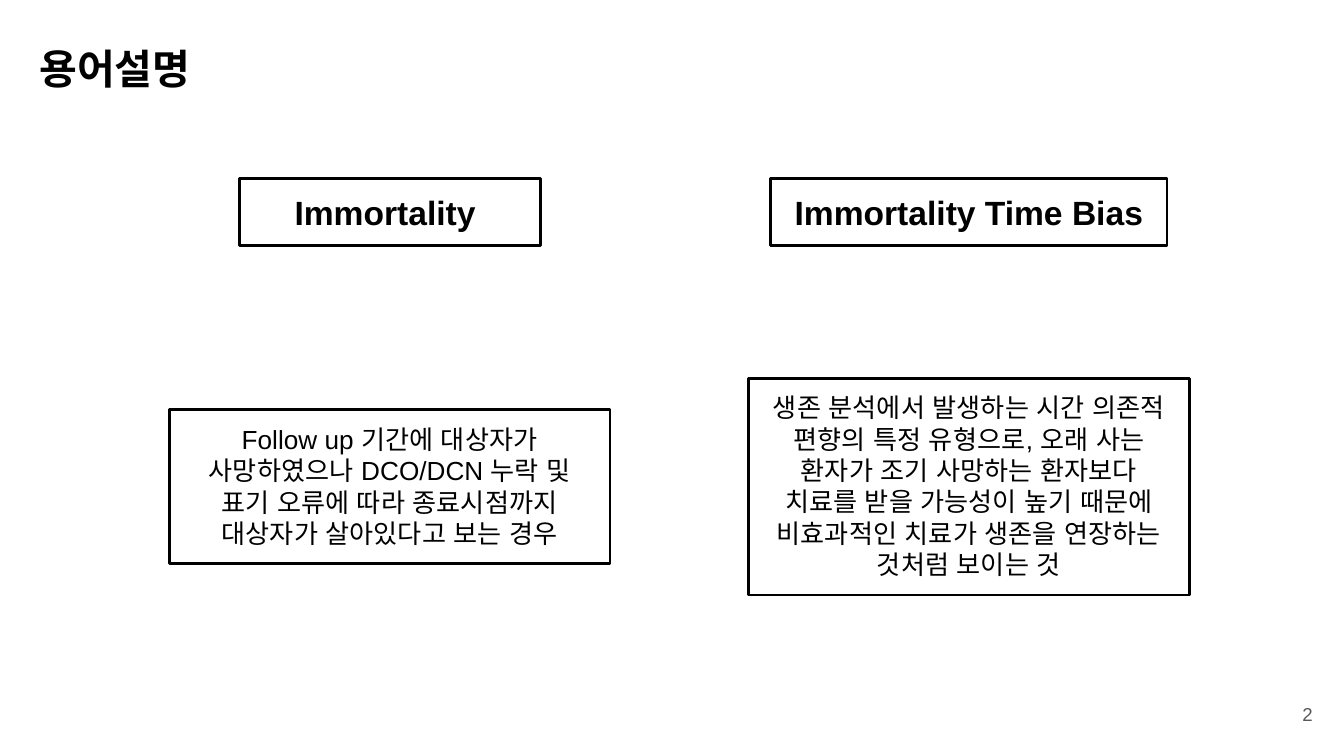
from lxml.etree import SubElement
from pptx import Presentation
from pptx.dml.color import RGBColor
from pptx.enum.shapes import MSO_SHAPE
from pptx.enum.text import MSO_ANCHOR, MSO_AUTO_SIZE, PP_ALIGN
from pptx.oxml.ns import qn
from pptx.util import Pt

BLACK = RGBColor(0x00, 0x00, 0x00)
GRAY = RGBColor(0x59, 0x59, 0x59)
FONT = "Arial"
INSET = Pt(7.2)

HEADING_MIDDLE = 113.6
DEFINITION_MIDDLE = 260.7
DEFINITION_WIDTH = 236

# Column centre, heading, heading width, definition, definition height
TERMS = [
    (208.8, "Immortality ", 161.2,
     "Follow up 기간에 대상자가 사망하였으나 DCO/DCN 누락 및 표기 오류에 따라 "
     "종료시점까지 대상자가 살아있다고 보는 경우", 82.4),
    (519.1, "Immortality Time Bias", 212.2,
     "생존 분석에서 발생하는 시간 의존적 편향의 특정 유형으로, 오래 사는 환자가 "
     "조기 사망하는 환자보다 치료를 받을 가능성이 높기 때문에 비효과적인 치료가 "
     "생존을 연장하는 것처럼 보이는 것", 116.2),
]


def set_font(run):
    """Use the same typeface for Latin, East Asian and complex scripts."""
    run.font.name = FONT
    properties = run.font._element
    for script in ("a:ea", "a:cs"):
        SubElement(properties, qn(script)).set("typeface", FONT)


def write_text(shape, text, size, align, bold=False, color=BLACK,
               anchor=MSO_ANCHOR.TOP):
    frame = shape.text_frame
    frame.word_wrap = True
    frame.auto_size = MSO_AUTO_SIZE.NONE
    frame.vertical_anchor = anchor
    frame.margin_left = frame.margin_right = INSET
    frame.margin_top = frame.margin_bottom = INSET
    paragraph = frame.paragraphs[0]
    paragraph.alignment = align
    run = paragraph.add_run()
    run.text = text
    run.font.size = Pt(size)
    run.font.bold = bold
    run.font.color.rgb = color
    set_font(run)


def add_title(slide, text):
    title = slide.shapes.title
    title.left, title.top = Pt(14), Pt(16.2)
    title.width, title.height = Pt(141), Pt(41)
    write_text(title, text, 22, PP_ALIGN.LEFT, bold=True)


def add_box(slide, center, middle, width, height, text, size, bold=False):
    """Add an outlined box centred on the point (center, middle)."""
    box = slide.shapes.add_shape(
        MSO_SHAPE.RECTANGLE, Pt(center - width / 2), Pt(middle - height / 2),
        Pt(width), Pt(height))
    box.shadow.inherit = False
    box.fill.background()
    box.line.color.rgb = BLACK
    box.line.width = Pt(1.5)
    write_text(box, text, size, PP_ALIGN.CENTER, bold)


def add_page_number(slide, number):
    box = slide.shapes.add_textbox(Pt(667.1), Pt(367.2), Pt(43.2), Pt(31))
    write_text(box, number, 10, PP_ALIGN.RIGHT, color=GRAY,
               anchor=MSO_ANCHOR.MIDDLE)


def main():
    presentation = Presentation()
    presentation.slide_width, presentation.slide_height = Pt(720), Pt(405)
    title_only = presentation.slide_layouts[5]
    slide = presentation.slides.add_slide(title_only)

    add_title(slide, "용어설명")
    for center, heading, heading_width, definition, definition_height in TERMS:
        add_box(slide, center, HEADING_MIDDLE, heading_width, 36,
                heading, 18, bold=True)
        add_box(slide, center, DEFINITION_MIDDLE, DEFINITION_WIDTH,
                definition_height, definition, 14)
    add_page_number(slide, "2")
    presentation.save("out.pptx")


if __name__ == "__main__":
    main()
